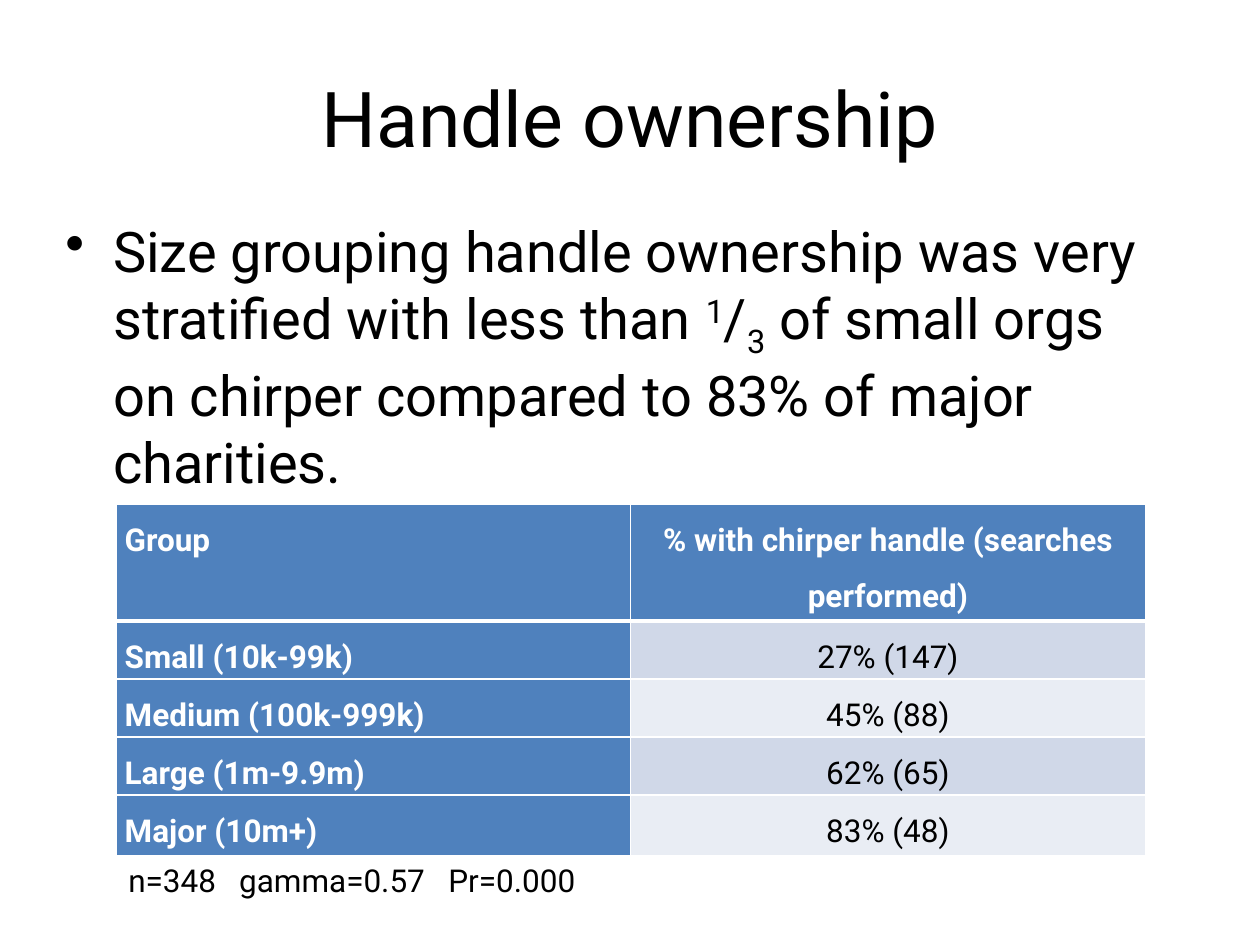
"""Build the handle ownership slide."""
from dataclasses import dataclass

from lxml import etree
from pptx import Presentation
from pptx.dml.color import RGBColor
from pptx.enum.text import MSO_ANCHOR, MSO_AUTO_SIZE, PP_ALIGN
from pptx.oxml.ns import qn
from pptx.util import Inches, Pt

LEFT, CENTER = PP_ALIGN.LEFT, PP_ALIGN.CENTER
TOP, MIDDLE = MSO_ANCHOR.TOP, MSO_ANCHOR.MIDDLE
FIXED = MSO_AUTO_SIZE.NONE
TITLE_ONLY = 5


@dataclass(frozen=True)
class Theme:
    font: str = "Roboto"
    ink: str = "000000"
    paper: str = "FFFFFF"
    head: str = "4F81BD"
    bands: tuple = ("D0D8E8", "E9EDF4")
    title: int = 44
    body: int = 32
    small: int = 18


class Deck:
    def __init__(self, theme):
        self.theme = theme
        self.file = Presentation()
        self.file.slide_width, self.file.slide_height = Inches(10), Inches(7.5)
        self.slide = self.file.slides.add_slide(self.file.slide_layouts[TITLE_ONLY])

    def style(self, para, size, color, bold=False, align=LEFT):
        para.alignment = align
        font = para.font
        font.name, font.size, font.bold = self.theme.font, Pt(size), bold
        font.color.rgb = RGBColor.from_string(color)

    def title(self, text, box):
        shape = self.slide.shapes.title
        shape.left, shape.top, shape.width, shape.height = map(Inches, box)
        frame = shape.text_frame
        frame.text = text
        frame.auto_size, frame.vertical_anchor = FIXED, MIDDLE
        self.style(frame.paragraphs[0], self.theme.title, self.theme.ink, align=CENTER)

    def text(self, box, size, runs, anchor=TOP):
        frame = self.slide.shapes.add_textbox(*map(Inches, box)).text_frame
        frame.word_wrap, frame.vertical_anchor = True, anchor
        para = frame.paragraphs[0]
        self.style(para, size, self.theme.ink)
        for words, shift in runs:
            run = para.add_run()
            run.text = words
            if shift:
                run.font._element.set("baseline", str(shift * 1000))
        return para

    def bullet(self, box, runs):
        para = self.text(box, self.theme.body, runs)
        para.space_before = Pt(self.theme.body * 0.2)
        props = para._p.get_or_add_pPr()
        props.set("marL", str(Inches(0.38)))
        props.set("indent", str(Inches(-0.38)))
        mark = etree.Element(qn("a:buChar"), char="•")
        props.insert(props.index(props.find(qn("a:defRPr"))), mark)

    def note(self, box, parts, stops):
        para = self.text(box, self.theme.small, [("\t".join(parts), 0)], MIDDLE)
        props = para._p.get_or_add_pPr()
        tabs = etree.Element(qn("a:tabLst"))
        for stop in stops:
            etree.SubElement(tabs, qn("a:tab"), pos=str(Inches(stop)), algn="l")
        props.insert(props.index(props.find(qn("a:defRPr"))), tabs)

    def border(self, cell, widths):
        props = cell._tc.get_or_add_tcPr()
        for spot, (side, width) in enumerate(widths.items()):
            line = etree.Element(qn(f"a:ln{side}"), w=str(Pt(width)))
            fill = etree.SubElement(line, qn("a:solidFill"))
            etree.SubElement(fill, qn("a:srgbClr"), val=self.theme.paper)
            props.insert(spot, line)

    def cell(self, cell, text, row, col):
        theme = self.theme
        key = row == 0 or col == 0
        cell.margin_left = cell.margin_right = Inches(0.07)
        cell.margin_top = cell.margin_bottom = 0
        cell.text = text
        cell.fill.solid()
        fill = theme.head if key else theme.bands[(row - 1) % 2]
        cell.fill.fore_color.rgb = RGBColor.from_string(fill)
        para = cell.text_frame.paragraphs[0]
        para.line_spacing = 1.5
        self.style(para, theme.small, theme.paper if key else theme.ink,
                   key, CENTER if col else LEFT)
        self.border(cell, {"L": 1, "R": 1, "T": 3 if row == 1 else 1,
                           "B": 3 if row == 0 else 1})

    def table(self, box, data, heights):
        grid = self.slide.shapes.add_table(len(data), len(data[0]), *map(Inches, box)).table
        for row, (texts, height) in enumerate(zip(data, heights)):
            grid.rows[row].height = Inches(height)
            for col, text in enumerate(texts):
                self.cell(grid.cell(row, col), text, row, col)


def main():
    deck = Deck(Theme())
    deck.title("Handle ownership", (0.5, 0.3, 9, 1.25))
    deck.bullet((0.42, 1.67, 9, 4.95), [
        ("Size grouping handle ownership was very stratified with less than ", 0),
        ("1", 30), ("/", 0), ("3", -25),
        (" of small orgs on chirper compared to 83% of major charities.", 0),
    ])
    deck.table((0.92, 4, 8.17, 2.8), [
        ("Group", "% with chirper handle (searches performed)"),
        ("Small (10k-99k)", "27% (147)"),
        ("Medium (100k-999k)", "45% (88)"),
        ("Large (1m-9.9m)", "62% (65)"),
        ("Major (10m+)", "83% (48)"),
    ], (0.93, 0.46, 0.46, 0.46, 0.48))
    deck.note((0.92, 6.78, 3.84, 0.4), ("n=348", "gamma=0.57", "Pr=0.000"), (0.88, 2.54))
    deck.file.save("out.pptx")


if __name__ == "__main__":
    main()
